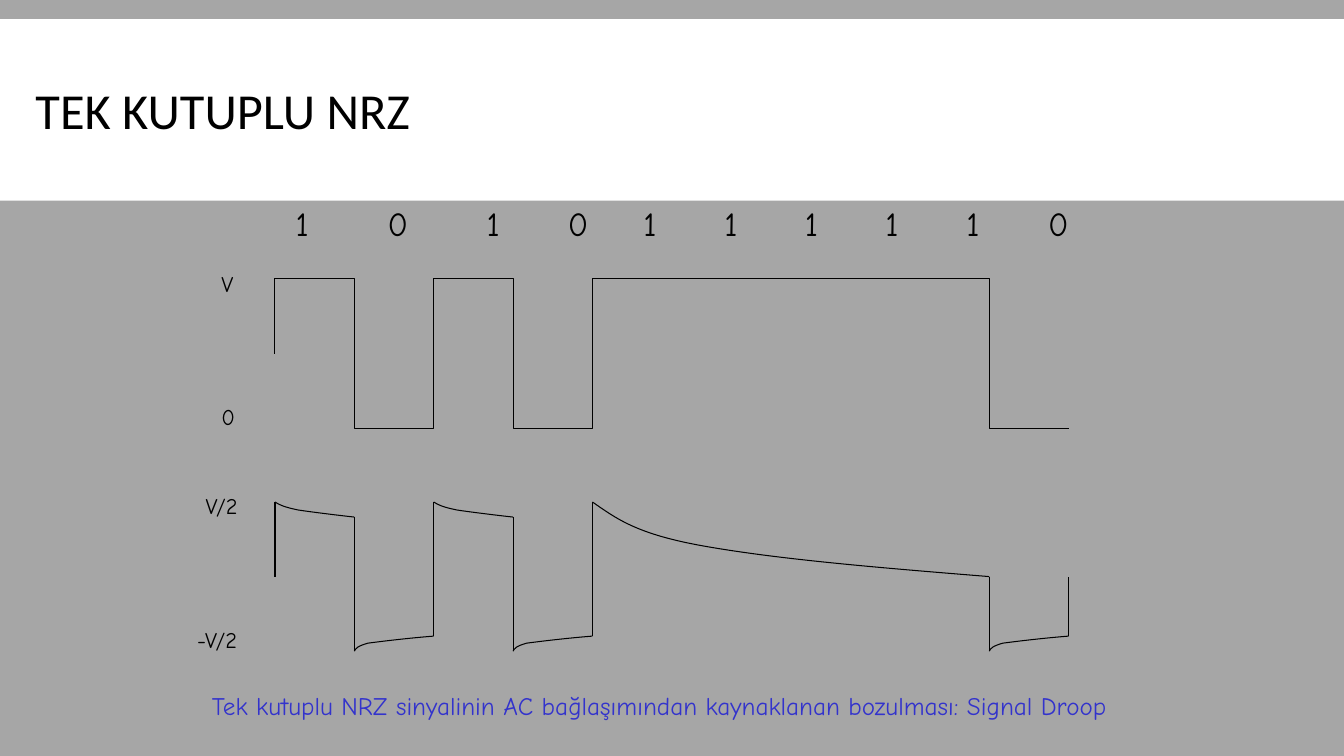
from lxml import etree
from pptx import Presentation
from pptx.dml.color import RGBColor
from pptx.enum.shapes import MSO_CONNECTOR, MSO_SHAPE
from pptx.enum.text import MSO_ANCHOR, MSO_AUTO_SIZE, PP_ALIGN
from pptx.oxml.ns import qn
from pptx.util import Cm, Pt


def color(value):
    return RGBColor.from_string(value)


def write(frame, text, size, font, ink, align=PP_ALIGN.LEFT):
    frame.word_wrap = True
    paragraph = frame.paragraphs[0]
    paragraph.alignment = align
    run = paragraph.add_run()
    run.text = text
    run.font.size = Pt(size)
    run.font.name = font
    run.font.color.rgb = color(ink)
    return paragraph


deck = Presentation()
deck.slide_width, deck.slide_height = Cm(33.87), Cm(19.05)
slide = deck.slides.add_slide(deck.slide_layouts[5])
shapes = slide.shapes
slide.background.fill.solid()
slide.background.fill.fore_color.rgb = color("A6A6A6")

title = shapes.title
title.left, title.top, title.width, title.height = Cm(0.64), Cm(0.79), Cm(29.9), Cm(4.19)
title.text_frame.vertical_anchor = MSO_ANCHOR.MIDDLE
title.text_frame.auto_size = MSO_AUTO_SIZE.NONE
write(title.text_frame, "TEK KUTUPLU NRZ", 36, "Calibri", "000000").line_spacing = 0.85

band = shapes.add_shape(MSO_SHAPE.RECTANGLE, 0, Cm(0.48), deck.slide_width, Cm(4.58))
band.shadow.inherit = False
band.fill.solid()
band.fill.fore_color.rgb = color("FFFFFF")
band.line.fill.background()
title._element.addprevious(band._element)

bits = shapes.add_textbox(Cm(5.54), Cm(4.98), Cm(22.2), Cm(1.19))
bit_row = write(bits.text_frame, "\t1\t0\t1\t0\t1\t1\t1\t1\t1\t0", 24, "Comic Neue", "000000")
tab_list = etree.SubElement(bit_row._p.get_or_add_pPr(), qn("a:tabLst"))
for center in (7.62, 10.03, 12.43, 14.57, 16.38, 18.42, 20.45, 22.48, 24.52, 26.67):
    etree.SubElement(tab_list, qn("a:tab"), pos=str(Cm(center - 5.79)), algn="ctr")

for text, left, top, width in (
    ("V", 5.33, 6.68, 1.19),
    ("0", 5.33, 10.03, 1.19),
    ("V/2", 4.93, 12.27, 1.6),
    ("-V/2", 4.72, 15.65, 1.8),
):
    level = shapes.add_textbox(Cm(left), Cm(top), Cm(width), Cm(0.86))
    write(level.text_frame, text, 16, "Comic Neue", "000000")

start, bit_width = 6.93, 2
edge = [start + bit_width * bit for bit in range(11)]
high, middle, low = 7.03, 8.92, 10.8
steps = [(edge[0], high)]
for bit, level in ((1, low), (2, high), (3, low), (4, high), (9, low)):
    steps += [(edge[bit], steps[-1][1]), (edge[bit], level)]
steps.append((edge[10], low))
signal = shapes.build_freeform(Cm(edge[0]), Cm(middle))
signal.add_line_segments([(Cm(x), Cm(y)) for x, y in steps], close=False)
outlines = [signal.convert_to_shape()]

peak, sagged, zero, risen, trough = 12.65, 13.03, 14.53, 16.03, 16.41
droop = ((0.06, 0.2), (0.11, 0.33), (0.29, 0.53), (0.46, 0.67), (0.87, 0.93), (1, 1))
rise = ((0.02, 0.2), (0.04, 0.33), (0.17, 0.53), (0.37, 0.67), (0.69, 0.87), (1, 1))
long_droop = ((0.06, 0.22), (0.11, 0.43), (0.28, 0.59), (0.47, 0.77), (0.72, 0.88), (1, 1))
for first, last, y_from, y_to, bend in (
    (0, 1, peak, sagged, droop),
    (1, 2, trough, risen, rise),
    (2, 3, peak, sagged, droop),
    (3, 4, trough, risen, rise),
    (4, 9, peak, zero, long_droop),
    (9, 10, trough, risen, rise),
):
    x, span = edge[first], edge[last] - edge[first]
    curve = shapes.build_freeform(Cm(x), Cm(y_from))
    curve.add_line_segments(
        [(Cm(x + span * u), Cm(y_from + (y_to - y_from) * v)) for u, v in bend], close=False
    )
    drooping = curve.convert_to_shape()
    outlines.append(drooping)
    segments = list(drooping._element.iter(qn("a:lnTo")))
    for index in (0, 3):
        bezier = etree.Element(qn("a:cubicBezTo"))
        segments[index].addprevious(bezier)
        for segment in segments[index:index + 3]:
            bezier.append(segment[0])
            segment.getparent().remove(segment)

for outline in outlines:
    outline.shadow.inherit = False
    outline.fill.background()

for bit, y_from, y_to in (
    (0, zero, peak),
    (1, sagged, trough),
    (2, risen, peak),
    (3, sagged, trough),
    (4, risen, peak),
    (9, zero, trough),
    (10, risen, zero),
):
    jump = shapes.add_connector(
        MSO_CONNECTOR.STRAIGHT, Cm(edge[bit]), Cm(y_from), Cm(edge[bit]), Cm(y_to)
    )
    etree.SubElement(jump._element.spPr, qn("a:effectLst"))
    outlines.append(jump)

for outline in outlines:
    outline.line.color.rgb = color("000000")
    outline.line.width = Pt(0.75)

caption = shapes.add_textbox(Cm(3.35), Cm(17.27), Cm(26.52), Cm(1.63))
write(
    caption.text_frame,
    "Tek kutuplu NRZ sinyalinin AC bağlaşımından kaynaklanan bozulması: Signal Droop",
    18, "Comic Neue", "3333CC", PP_ALIGN.CENTER,
)

deck.save("out.pptx")
